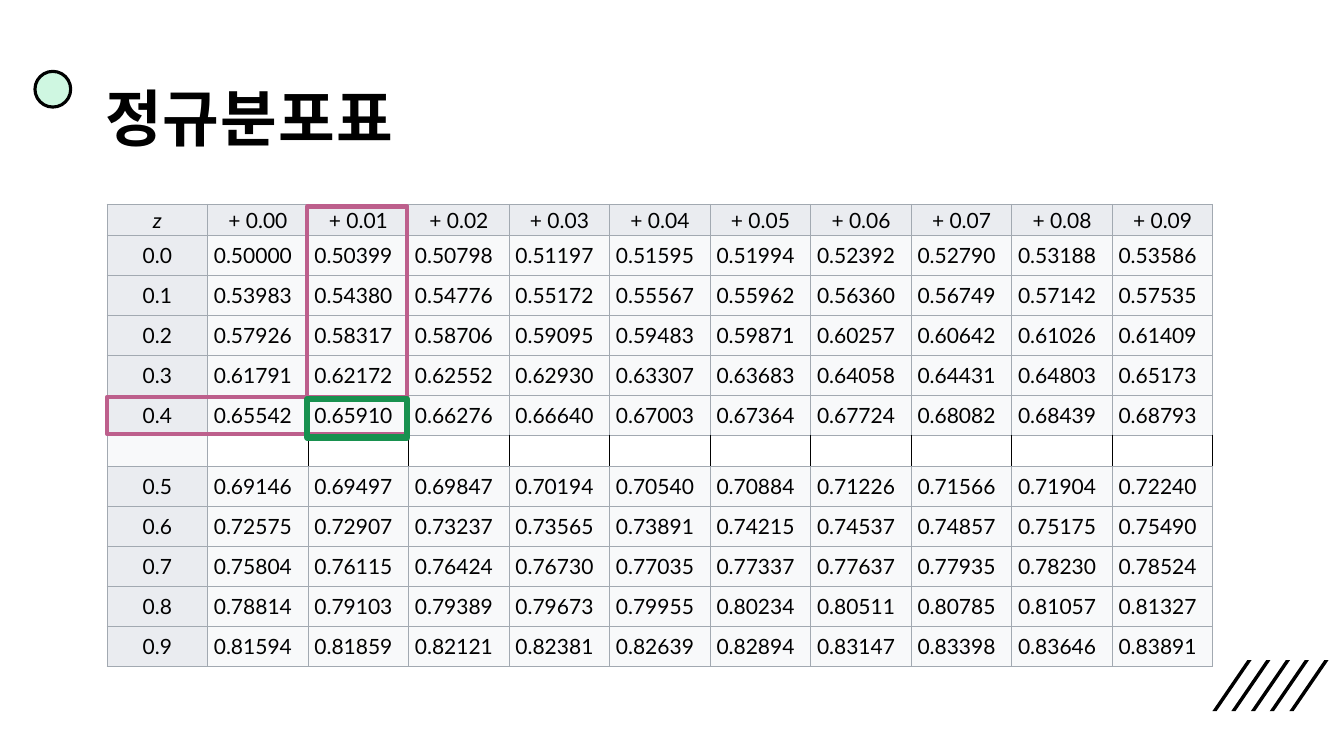
from lxml.etree import SubElement
from pptx import Presentation
from pptx.dml.color import RGBColor
from pptx.enum.shapes import MSO_SHAPE as Preset
from pptx.enum.text import MSO_ANCHOR as Anchor, MSO_AUTO_SIZE as AutoSize, PP_ALIGN as Align
from pptx.oxml.ns import qn
from pptx.util import Emu, Pt

# Content
TITLE = "정규분포표"
HEADER = ["z", "+ 0.00", "+ 0.01", "+ 0.02", "+ 0.03", "+ 0.04",
          "+ 0.05", "+ 0.06", "+ 0.07", "+ 0.08", "+ 0.09"]
LOWER_Z = [
    "0.0 0.50000 0.50399 0.50798 0.51197 0.51595 0.51994 0.52392 0.52790 0.53188 0.53586",
    "0.1 0.53983 0.54380 0.54776 0.55172 0.55567 0.55962 0.56360 0.56749 0.57142 0.57535",
    "0.2 0.57926 0.58317 0.58706 0.59095 0.59483 0.59871 0.60257 0.60642 0.61026 0.61409",
    "0.3 0.61791 0.62172 0.62552 0.62930 0.63307 0.63683 0.64058 0.64431 0.64803 0.65173",
    "0.4 0.65542 0.65910 0.66276 0.66640 0.67003 0.67364 0.67724 0.68082 0.68439 0.68793",
]
UPPER_Z = [
    "0.5 0.69146 0.69497 0.69847 0.70194 0.70540 0.70884 0.71226 0.71566 0.71904 0.72240",
    "0.6 0.72575 0.72907 0.73237 0.73565 0.73891 0.74215 0.74537 0.74857 0.75175 0.75490",
    "0.7 0.75804 0.76115 0.76424 0.76730 0.77035 0.77337 0.77637 0.77935 0.78230 0.78524",
    "0.8 0.78814 0.79103 0.79389 0.79673 0.79955 0.80234 0.80511 0.80785 0.81057 0.81327",
    "0.9 0.81594 0.81859 0.82121 0.82381 0.82639 0.82894 0.83147 0.83398 0.83646 0.83891",
]
GAP_ROW = [""] * len(HEADER)
ROWS = [HEADER, *[row.split() for row in LOWER_Z], GAP_ROW, *[row.split() for row in UPPER_Z]]
GAP = ROWS.index(GAP_ROW)

# Look: lengths in px, 144 px to the inch
FONT = "Lato"
BLACK, GRID, LABEL_FILL, VALUE_FILL = "000000", "A2A9B1", "EAECF0", "F8F9FA"
PINK, GREEN, MINT = "BD5F8C", "18914F", "CFF7E1"
TITLE_BOX = (132, 58, 1656, 209)
DOT_BOX = (50, 102, 51, 51)
TABLE_LEFT, TABLE_TOP, TABLE_WIDTH = 153, 292, 1580
ROW_HEIGHT, SLIM_HEIGHT = 57, 45
HIGHLIGHTS = [  # box, colour, line width in points
    ((153, 567, 428, 53), PINK, 3),
    ((439, 295, 143, 325), PINK, 3),
    ((439, 570, 143, 55), GREEN, 4.5),
]
STRIPE_LEFT, STRIPE_TOP, STRIPE_WIDTH, STRIPE_HEIGHT, STRIPE_FOOT = 1732, 943, 56, 73, 6
STRIPE_COUNT, STRIPE_SPAN = 5, 110


def px(length):
    return Emu(round(length * 6350))


def color(value):
    return RGBColor.from_string(value)


def add_run(paragraph, text, size, bold=False, italic=False):
    run = paragraph.add_run()
    run.text = text
    font = run.font
    font.name, font.size, font.bold, font.italic = FONT, Pt(size), bold, italic
    font.color.rgb = color(BLACK)
    return run


def add_preset(preset, box, line, width, fill=None):
    shape = slide.shapes.add_shape(preset, *map(px, box))
    shape.shadow.inherit = False
    if fill:
        shape.fill.solid()
        shape.fill.fore_color.rgb = color(fill)
    else:
        shape.fill.background()
    shape.line.color.rgb = color(line)
    shape.line.width = Pt(width)


def set_borders(cell, left, right):
    properties = cell._tc.get_or_add_tcPr()
    for side, value in (("L", left), ("R", right), ("T", GRID), ("B", GRID)):
        border = SubElement(properties, qn(f"a:ln{side}"), w=str(Pt(0.75)))
        fill = SubElement(border, qn("a:solidFill"))
        SubElement(fill, qn("a:srgbClr"), val=value)


def fill_cell(cell, text, row, column):
    in_gap = row == GAP
    set_borders(cell,
                BLACK if in_gap and column > 1 else GRID,
                BLACK if in_gap and column > 0 else GRID)
    is_label = (row == 0 or column == 0) and not in_gap
    if in_gap and column > 0:
        cell.fill.background()
    else:
        cell.fill.solid()
        cell.fill.fore_color.rgb = color(LABEL_FILL if is_label else VALUE_FILL)
    cell.margin_left = cell.margin_right = px(9)
    cell.margin_top = cell.margin_bottom = px(4)
    cell.vertical_anchor = Anchor.MIDDLE
    paragraph = cell.text_frame.paragraphs[0]
    if text:
        paragraph.alignment = Align.CENTER if is_label else Align.LEFT
        add_run(paragraph, text, 15, italic=text == "z")
    else:
        SubElement(paragraph._p, qn("a:endParaRPr"), sz="1000")


presentation = Presentation()
presentation.slide_width, presentation.slide_height = px(1920), px(1080)
slide = presentation.slides.add_slide(presentation.slide_layouts[5])

# Corner stripes
for index in range(STRIPE_COUNT):
    left = STRIPE_LEFT + STRIPE_SPAN * index // (STRIPE_COUNT - 1)
    right, bottom = left + STRIPE_WIDTH, STRIPE_TOP + STRIPE_HEIGHT
    builder = slide.shapes.build_freeform(left + STRIPE_FOOT, bottom, scale=px(1))
    builder.add_line_segments([(left, bottom), (right - STRIPE_FOOT, STRIPE_TOP),
                               (right, STRIPE_TOP)], close=True)
    stripe = builder.convert_to_shape()
    stripe.shadow.inherit = False
    stripe.fill.solid()
    stripe.fill.fore_color.rgb = color(BLACK)
    stripe.line.fill.background()

# Dot beside the title
add_preset(Preset.OVAL, DOT_BOX, BLACK, 2.25, MINT)

# Normal distribution table
heights = [SLIM_HEIGHT if row in (0, GAP) else ROW_HEIGHT for row in range(len(ROWS))]
table = slide.shapes.add_table(len(ROWS), len(HEADER), px(TABLE_LEFT), px(TABLE_TOP),
                               px(TABLE_WIDTH), px(sum(heights))).table
table.first_row = table.horz_banding = False
for column in table.columns:
    column.width = px(TABLE_WIDTH / len(HEADER))
for row, texts in enumerate(ROWS):
    table.rows[row].height = px(heights[row])
    for column, text in enumerate(texts):
        fill_cell(table.cell(row, column), text, row, column)

# Highlighted row, column and the value where they meet
for box, line, width in HIGHLIGHTS:
    add_preset(Preset.RECTANGLE, box, line, width)

# Title
title = slide.shapes.title
title.left, title.top, title.width, title.height = map(px, TITLE_BOX)
frame = title.text_frame
frame.word_wrap, frame.auto_size, frame.vertical_anchor = True, AutoSize.NONE, Anchor.MIDDLE
frame.margin_left = frame.margin_right = frame.margin_top = px(18)
frame.margin_bottom = px(14)
paragraph = frame.paragraphs[0]
paragraph.alignment, paragraph.line_spacing = Align.LEFT, 1.05
title_properties = add_run(paragraph, TITLE, 44, bold=True)._r.get_or_add_rPr()
title_properties.set("spc", "80")
SubElement(title_properties, qn("a:ea"), typeface=FONT)

presentation.save("out.pptx")
